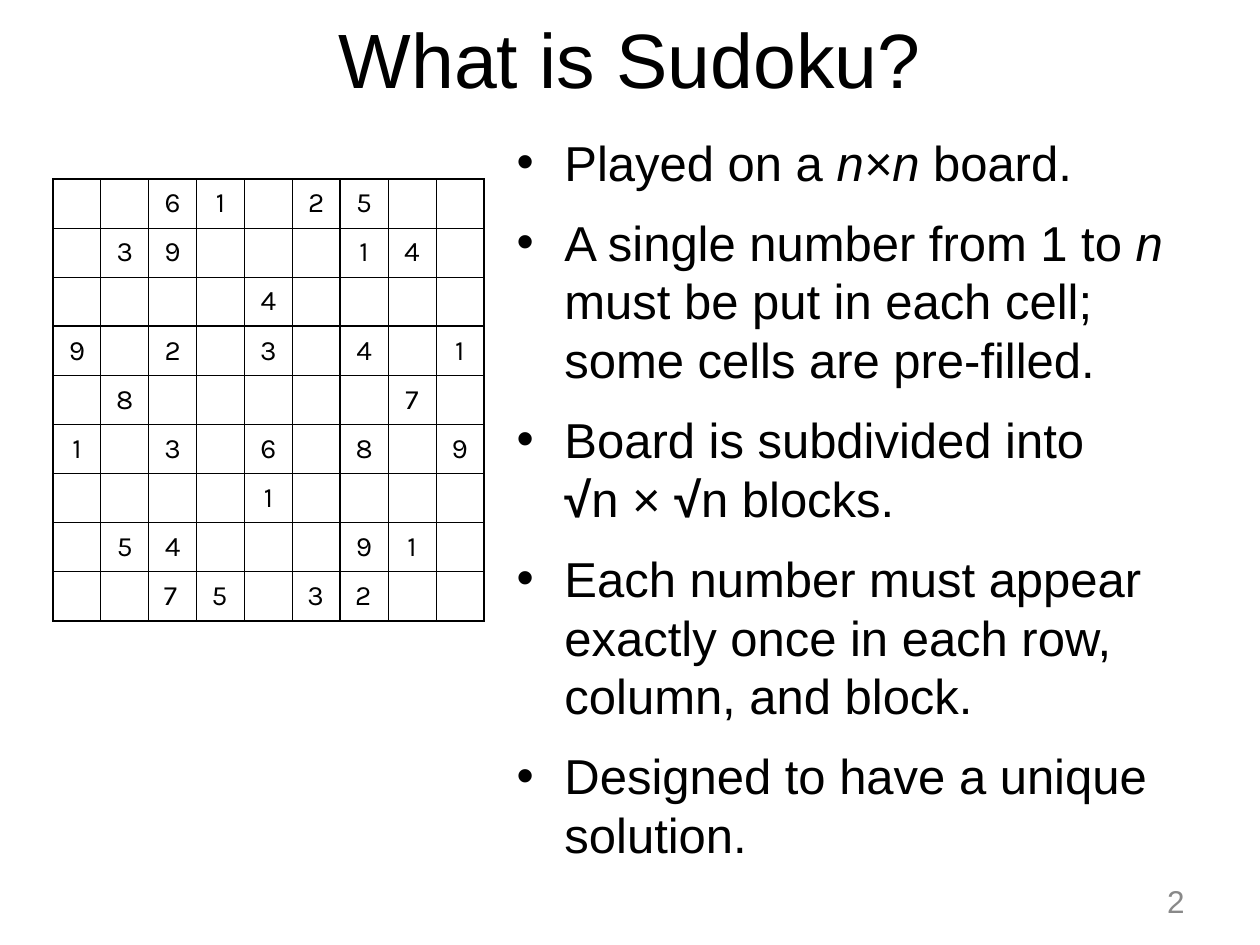
"""Build the slide that explains Sudoku with a puzzle board and its rules."""
import pptx
import pptx.dml.color
import pptx.enum.text
import pptx.oxml
import pptx.oxml.ns
import pptx.util

W, H = 10, 7.5
BLOCK = 3
CELL_W, CELL_H = 0.38, 0.39
THIN, THICK = 0.45, 1.08
COLORS = {"ink": "000000", "number": "898989"}
ALIGN = pptx.enum.text.PP_ALIGN
MIDDLE = pptx.enum.text.MSO_ANCHOR.MIDDLE

BOARD = [
    "..61.25..",
    ".39...14.",
    "....4....",
    "9.2.3.4.1",
    ".8.....7.",
    "1.3.6.8.9",
    "....1....",
    ".54...91.",
    "..75.32..",
]
RULES = [
    [("Played on a ", {}), ("n×n", {"italic": True}), (" board.", {})],
    [("A single number from 1 to ", {}), ("n", {"italic": True}),
     (" must be put in each cell; some cells are pre-filled.", {})],
    [("Board is subdivided into\v", {}), ("√", {"bold": True}), ("n × ", {}),
     ("√", {"bold": True}), ("n blocks.", {})],
    [("Each number must appear exactly once in each row, column, and block.", {})],
    [("Designed to have a unique solution.", {})],
]


def box(x, y, w, h):
    return [pptx.util.Inches(v) for v in (x * W, y * H, w * W, h * H)]


def place(sp, x, y, w, h):
    sp.left, sp.top, sp.width, sp.height = box(x, y, w, h)


def write(p, text, size=28, font="Arial", color="ink", bold=False, italic=False, align=None):
    if align is not None:
        p.alignment = align
    for i, line in enumerate(text.split("\v")):
        if i:
            p.add_line_break()
        if not line:
            continue
        r = p.add_run()
        r.text = line
        r.font.size = pptx.util.Pt(size)
        r.font.name = font
        r.font.bold = bold
        r.font.italic = italic
        r.font.color.rgb = pptx.dml.color.RGBColor.from_string(COLORS[color])


def set_bullet(p, indent=0.38):
    pPr = p._p.get_or_add_pPr()
    pPr.set("marL", str(pptx.util.Inches(indent)))
    pPr.set("indent", str(-pptx.util.Inches(indent)))
    ns = pptx.oxml.ns.nsdecls("a")
    pPr.append(pptx.oxml.parse_xml(f'<a:buFont {ns} typeface="Arial"/>'))
    pPr.append(pptx.oxml.parse_xml(f'<a:buChar {ns} char="•"/>'))


def add_title(s, text):
    sp = s.shapes.title
    place(sp, 0.05, 0, 0.9, 0.92 / H)
    tf = sp.text_frame
    tf.vertical_anchor = MIDDLE
    tf.auto_size = pptx.enum.text.MSO_AUTO_SIZE.NONE
    write(tf.paragraphs[0], text, size=44, align=ALIGN.CENTER)


def add_rules(s, rules):
    sp = s.placeholders[1]
    place(sp, 0.4, 1 / H, 0.55, 6.08 / H)
    tf = sp.text_frame
    tf.auto_size = pptx.enum.text.MSO_AUTO_SIZE.NONE
    for i, rule in enumerate(rules):
        p = tf.add_paragraph() if i else tf.paragraphs[0]
        set_bullet(p)
        p.space_before = pptx.util.Pt(12 if i else 0)
        for text, style in rule:
            write(p, text, **style)


def set_borders(cell, row, col):
    last = BLOCK - 1
    thick = {
        "lnL": col % BLOCK == 0,
        "lnR": col % BLOCK == last,
        "lnT": row % BLOCK == 0,
        "lnB": row % BLOCK == last,
    }
    for tag, is_thick in thick.items():
        width = pptx.util.Pt(THICK if is_thick else THIN)
        cell._tc.get_or_add_tcPr().append(pptx.oxml.parse_xml(
            f'<a:{tag} {pptx.oxml.ns.nsdecls("a")} w="{width}"><a:solidFill>'
            f'<a:srgbClr val="{COLORS["ink"]}"/></a:solidFill></a:{tag}>'))


def add_board(s, board):
    n = len(board)
    area = box(0.42 / W, 1.42 / H, n * CELL_W / W, n * CELL_H / H)
    table = s.shapes.add_table(n, n, *area).table
    table.first_row = table.horz_banding = False
    for i in range(n):
        table.columns[i].width = pptx.util.Inches(CELL_W)
        table.rows[i].height = pptx.util.Inches(CELL_H)
    for row, digits in enumerate(board):
        align = ALIGN.LEFT if row == n - 1 else ALIGN.CENTER
        for col, digit in enumerate(digits):
            cell = table.cell(row, col)
            set_borders(cell, row, col)
            cell.fill.background()
            cell.vertical_anchor = MIDDLE
            cell.margin_left = cell.margin_right = pptx.util.Inches(0.12)
            cell.margin_top = cell.margin_bottom = pptx.util.Inches(0.02)
            if digit != ".":
                write(cell.text_frame.paragraphs[0], digit, size=16, font="Karla", align=align)


def add_slide_number(s, text):
    tf = s.shapes.add_textbox(*box(7.17 / W, 6.95 / H, 2.33 / W, 0.4 / H)).text_frame
    tf.word_wrap = True
    tf.vertical_anchor = MIDDLE
    write(tf.paragraphs[0], text, size=18, color="number", align=ALIGN.RIGHT)


def main():
    prs = pptx.Presentation()
    prs.slide_width, prs.slide_height = pptx.util.Inches(W), pptx.util.Inches(H)
    s = prs.slides.add_slide(prs.slide_layouts[1])
    add_title(s, "What is Sudoku?")
    add_rules(s, RULES)
    add_board(s, BOARD)
    add_slide_number(s, "2")
    prs.save("out.pptx")


if __name__ == "__main__":
    main()
